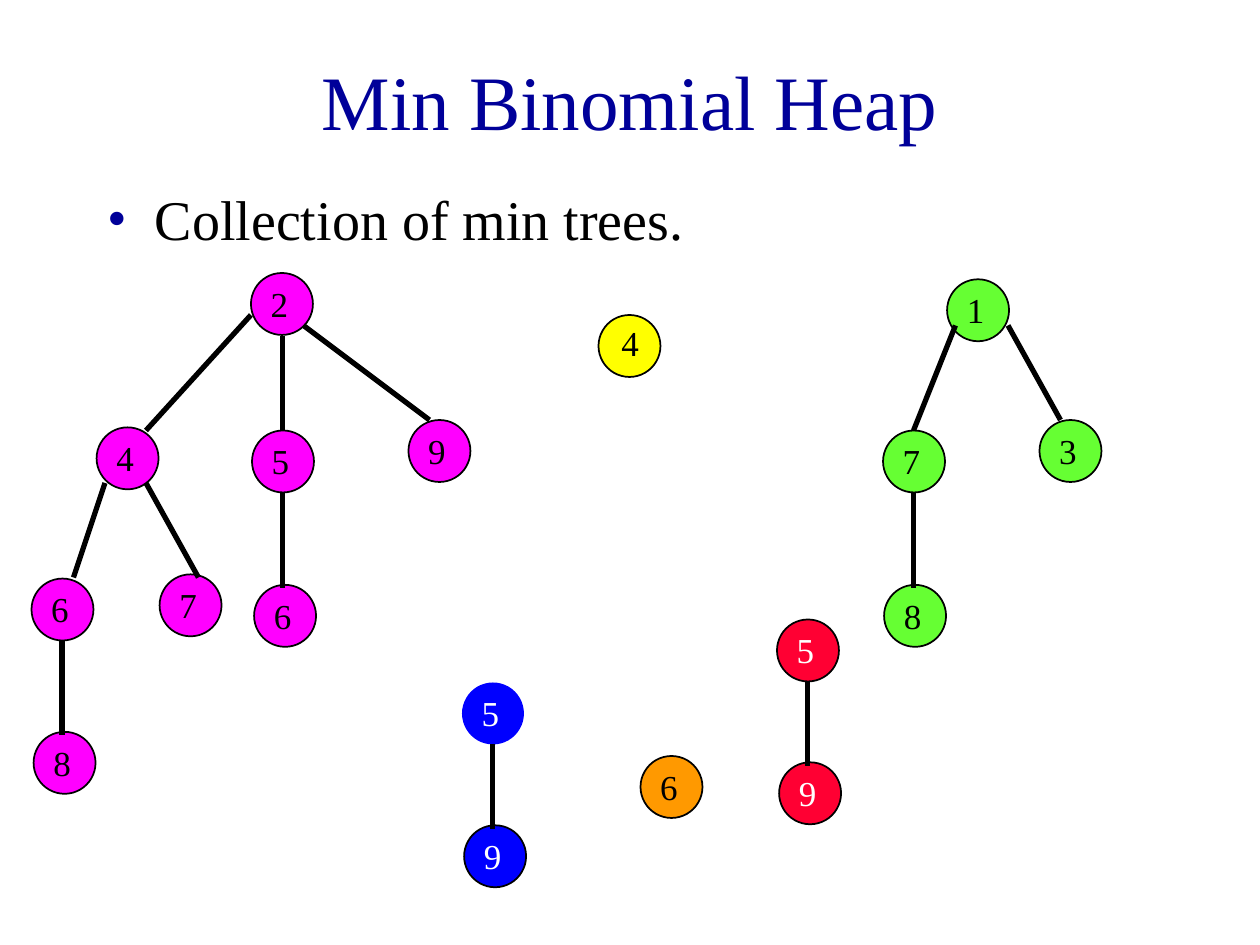
from dataclasses import dataclass

from lxml.etree import SubElement
from pptx import Presentation
from pptx.dml.color import RGBColor
from pptx.enum.shapes import MSO_CONNECTOR as Connector, MSO_SHAPE as Shape
from pptx.enum.text import MSO_ANCHOR as Anchor, MSO_AUTO_SIZE as AutoSize, PP_ALIGN as Align
from pptx.oxml.ns import qn
from pptx.util import Emu, Inches, Pt

FONT = "Times New Roman"
NAVY = RGBColor(0x00, 0x00, 0x99)
BLACK = RGBColor(0x00, 0x00, 0x00)
WHITE = RGBColor(0xFF, 0xFF, 0xFF)
ORANGE = RGBColor(0xFF, 0x99, 0x00)
YELLOW = RGBColor(0xFF, 0xFF, 0x00)
RED = RGBColor(0xFF, 0x00, 0x33)
GREEN = RGBColor(0x66, 0xFF, 0x33)
BLUE = RGBColor(0x00, 0x00, 0xFF)
MAGENTA = RGBColor(0xFF, 0x00, 0xFF)

# The page is a grid of 120 columns by 90 rows of square cells.
COLUMNS = 120
SLIDE_WIDTH, SLIDE_HEIGHT = Inches(10), Inches(7.5)
NODE_SIZE = 5.9
LABEL_WIDTH, LABEL_HEIGHT = 4.1, 5.2


@dataclass(frozen=True)
class Node:
    key: str
    column: float
    row: float
    outlined: bool = True


@dataclass(frozen=True)
class Edge:
    start: tuple[float, float]
    end: tuple[float, float]


@dataclass(frozen=True)
class Tree:
    fill: RGBColor
    nodes: tuple[Node, ...]
    edges: tuple[Edge, ...] = ()
    text: RGBColor = BLACK
    label_shift: tuple[float, float] = (0.7, 0.3)


TREES = (
    Tree(ORANGE, (Node("6", 61, 72),)),
    Tree(YELLOW, (Node("4", 57, 30),), label_shift=(1, 0)),
    Tree(
        RED,
        (Node("5", 74, 59), Node("9", 74.2, 72.6)),
        (Edge((76.9, 64.9), (76.9, 73)),),
        text=WHITE,
    ),
    Tree(
        GREEN,
        (Node("1", 90.2, 26.6), Node("7", 84.1, 41),
         Node("3", 99, 40), Node("8", 84.2, 55.7)),
        (Edge((87, 47), (87, 56)), Edge((91, 31), (87, 41)),
         Edge((96, 31), (101, 40))),
    ),
    Tree(
        BLUE,
        (Node("5", 44, 65, outlined=False), Node("9", 44.2, 78.6)),
        (Edge((46.9, 70.9), (46.9, 79)),),
        text=WHITE,
    ),
    Tree(
        MAGENTA,
        (Node("2", 23.9, 26), Node("5", 24, 41), Node("9", 38.9, 40),
         Node("6", 24.2, 55.7), Node("4", 9.2, 40.7), Node("6", 3, 55.1),
         Node("7", 15.2, 54.7), Node("8", 3.2, 69.7)),
        (Edge((26.9, 47), (26.9, 56)), Edge((26.9, 32), (26.9, 41)),
         Edge((28.9, 31), (40.9, 40)), Edge((5.9, 61), (5.9, 70)),
         Edge((10, 46), (7, 55)), Edge((13.9, 46), (18.9, 55)),
         Edge((23.9, 30), (13.9, 41))),
    ),
)


def cells(*counts: float) -> list[Emu]:
    """Turn counts of grid cells into lengths."""
    return [Emu(round(SLIDE_WIDTH * count / COLUMNS)) for count in counts]


def add_span(para, text: str, size: int, color: RGBColor) -> None:
    span = para.add_run()
    span.text = text
    span.font.name = FONT
    span.font.size = Pt(size)
    span.font.color.rgb = color


def place(box, column: float, row: float, width: float, height: float) -> None:
    box.left, box.top, box.width, box.height = cells(column, row, width, height)
    box.text_frame.auto_size = AutoSize.NONE


def add_bullet(para, color: RGBColor) -> None:
    properties = para._p.get_or_add_pPr()
    properties.set("marL", str(Inches(0.38)))
    properties.set("indent", str(-Inches(0.38)))
    bullet_color = SubElement(properties, qn("a:buClr"))
    SubElement(bullet_color, qn("a:srgbClr"), val=str(color))
    SubElement(properties, qn("a:buFont"), typeface=FONT)
    SubElement(properties, qn("a:buChar"), char="•")


def write_text(page) -> None:
    title, body = page.placeholders
    place(title, 9, 2, 102, 15)
    title.text_frame.vertical_anchor = Anchor.MIDDLE
    para = title.text_frame.paragraphs[0]
    para.alignment = Align.CENTER
    add_span(para, "Min Binomial Heap", 44, NAVY)

    place(body, 9, 17, 102, 9)
    body.text_frame.vertical_anchor = Anchor.TOP
    para = body.text_frame.paragraphs[0]
    add_bullet(para, NAVY)
    para.space_before = Pt(0)
    add_span(para, "Collection of min trees.", 32, BLACK)


def draw_node(shapes, node: Node, fill: RGBColor) -> None:
    circle = shapes.add_shape(
        Shape.OVAL, *cells(node.column, node.row, NODE_SIZE, NODE_SIZE))
    circle.shadow.inherit = False
    circle.fill.solid()
    circle.fill.fore_color.rgb = fill
    if node.outlined:
        circle.line.color.rgb = BLACK
        circle.line.width = Pt(1)
    else:
        circle.line.fill.background()


def draw_label(shapes, node: Node, tree: Tree) -> None:
    across, down = tree.label_shift
    box = shapes.add_textbox(*cells(
        node.column + across, node.row + down, LABEL_WIDTH, LABEL_HEIGHT))
    box.text_frame.word_wrap = False
    box.text_frame.auto_size = AutoSize.SHAPE_TO_FIT_TEXT
    add_span(box.text_frame.paragraphs[0], node.key, 20, tree.text)


def draw_edge(shapes, edge: Edge) -> None:
    line = shapes.add_connector(
        Connector.STRAIGHT, *cells(*edge.start, *edge.end))
    line.line.color.rgb = BLACK
    line.line.width = Pt(3)
    SubElement(line._element.spPr, qn("a:effectLst"))


def draw_tree(page, tree: Tree) -> None:
    shapes = page.shapes.add_group_shape().shapes
    for node in tree.nodes:
        draw_node(shapes, node, tree.fill)
    for node in tree.nodes:
        draw_label(shapes, node, tree)
    for edge in tree.edges:
        draw_edge(shapes, edge)


def main() -> None:
    deck = Presentation()
    deck.slide_width, deck.slide_height = SLIDE_WIDTH, SLIDE_HEIGHT
    page = deck.slides.add_slide(deck.slide_layouts[1])
    write_text(page)
    for tree in TREES:
        draw_tree(page, tree)
    deck.save("out.pptx")


if __name__ == "__main__":
    main()
